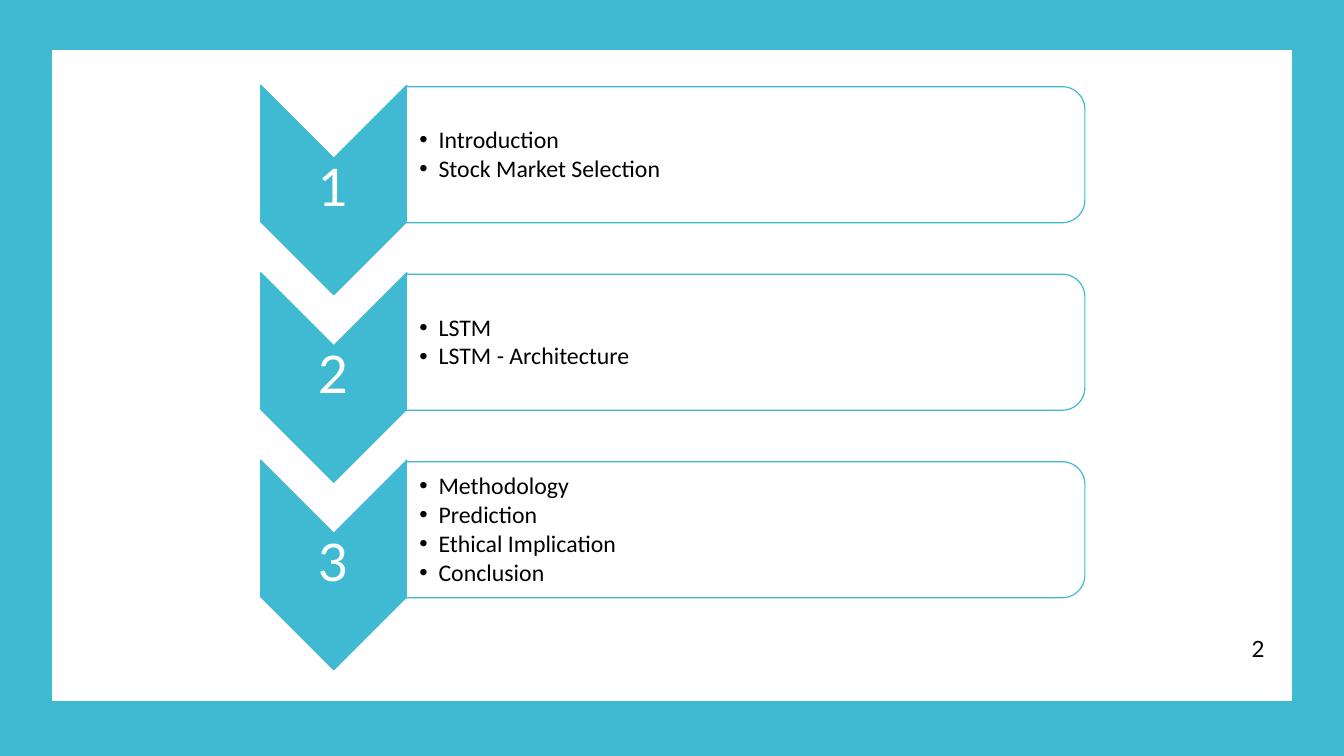
"""Builds an agenda slide with three numbered chevron steps."""
from lxml import etree
from pptx import Presentation
from pptx.dml.color import RGBColor
from pptx.enum.shapes import MSO_SHAPE
from pptx.enum.text import MSO_ANCHOR, PP_ALIGN
from pptx.oxml.ns import qn
from pptx.util import Inches, Pt

COLORS = {"teal": "40BAD2", "white": "FFFFFF", "black": "000000"}
STEPS = [
    ["Introduction", "Stock Market Selection"],
    ["LSTM", "LSTM - Architecture"],
    ["Methodology", "Prediction", "Ethical Implication", "Conclusion"],
]
STEP_PITCH = 1.86


def color(name):
    return RGBColor.from_string(COLORS[name])


def add_box(slide, kind, at, fill, line=None, rotation=0):
    shape = slide.shapes.add_shape(kind, *map(Inches, at))
    shape.shadow.inherit = False
    shape.rotation = rotation
    shape.fill.solid()
    shape.fill.fore_color.rgb = color(fill)
    if line:
        shape.line.color.rgb = color(line)
        shape.line.width = Pt(0.85)
    else:
        shape.line.fill.background()
    return shape


def add_text(slide, at, lines, size, font, ink, insets, align=PP_ALIGN.LEFT,
             anchor=MSO_ANCHOR.MIDDLE, spacing=0.9, after=0):
    frame = slide.shapes.add_textbox(*map(Inches, at)).text_frame
    frame.word_wrap = True
    frame.vertical_anchor = anchor
    (frame.margin_left, frame.margin_top,
     frame.margin_right, frame.margin_bottom) = map(Inches, insets)
    frame.text = "\n".join(lines)
    for paragraph in frame.paragraphs:
        paragraph.alignment = align
        paragraph.line_spacing = spacing
        paragraph.space_after = Pt(after)
        run_font = paragraph.runs[0].font
        run_font.size = Pt(size)
        run_font.name = font
        run_font.color.rgb = color(ink)
    return frame


def add_bullets(frame, indent):
    for paragraph in frame.paragraphs:
        properties = paragraph._p.get_or_add_pPr()
        properties.set("marL", str(Inches(indent)))
        properties.set("indent", str(-Inches(indent)))
        etree.SubElement(properties, qn("a:buFont")).set("typeface", "Arial")
        etree.SubElement(properties, qn("a:buChar")).set("char", "•")


def add_step(slide, number, topics):
    offset = (number - 1) * STEP_PITCH
    add_box(slide, MSO_SHAPE.CHEVRON, (2.27, 1.16 + offset, 2.08, 1.45),
            "teal", "teal", 90)
    add_text(slide, (2.58, 1.57 + offset, 1.45, 0.62), [str(number)],
             37, "Lato", "white", [0.03] * 4, PP_ALIGN.CENTER)
    add_box(slide, MSO_SHAPE.ROUND_2_SAME_RECTANGLE,
            (6.72, -1.83 + offset, 1.35, 6.73), "white", "teal", 90)
    frame = add_text(slide, (4.03, 0.93 + offset, 6.66, 1.22), topics,
                     17, "Calibri", "black", (0.13, 0.01, 0.01, 0.01), after=2.2)
    add_bullets(frame, 0.19)


def main():
    deck = Presentation()
    deck.slide_width, deck.slide_height = Inches(13.33), Inches(7.5)
    slide = deck.slides.add_slide(deck.slide_layouts[6])
    add_box(slide, MSO_SHAPE.RECTANGLE, (0, 0, 13.33, 7.5), "teal")
    add_box(slide, MSO_SHAPE.RECTANGLE, (0.52, 0.5, 12.29, 6.45), "white", "white")
    add_text(slide, (9.25, 6.25, 3.39, 0.39), ["2"], 16, "Lato", "black",
             (0.1, 0.05, 0.1, 0.05), PP_ALIGN.RIGHT, MSO_ANCHOR.TOP, 1.0, 6)
    for number, topics in enumerate(STEPS, 1):
        add_step(slide, number, topics)
    deck.save("out.pptx")


main()
